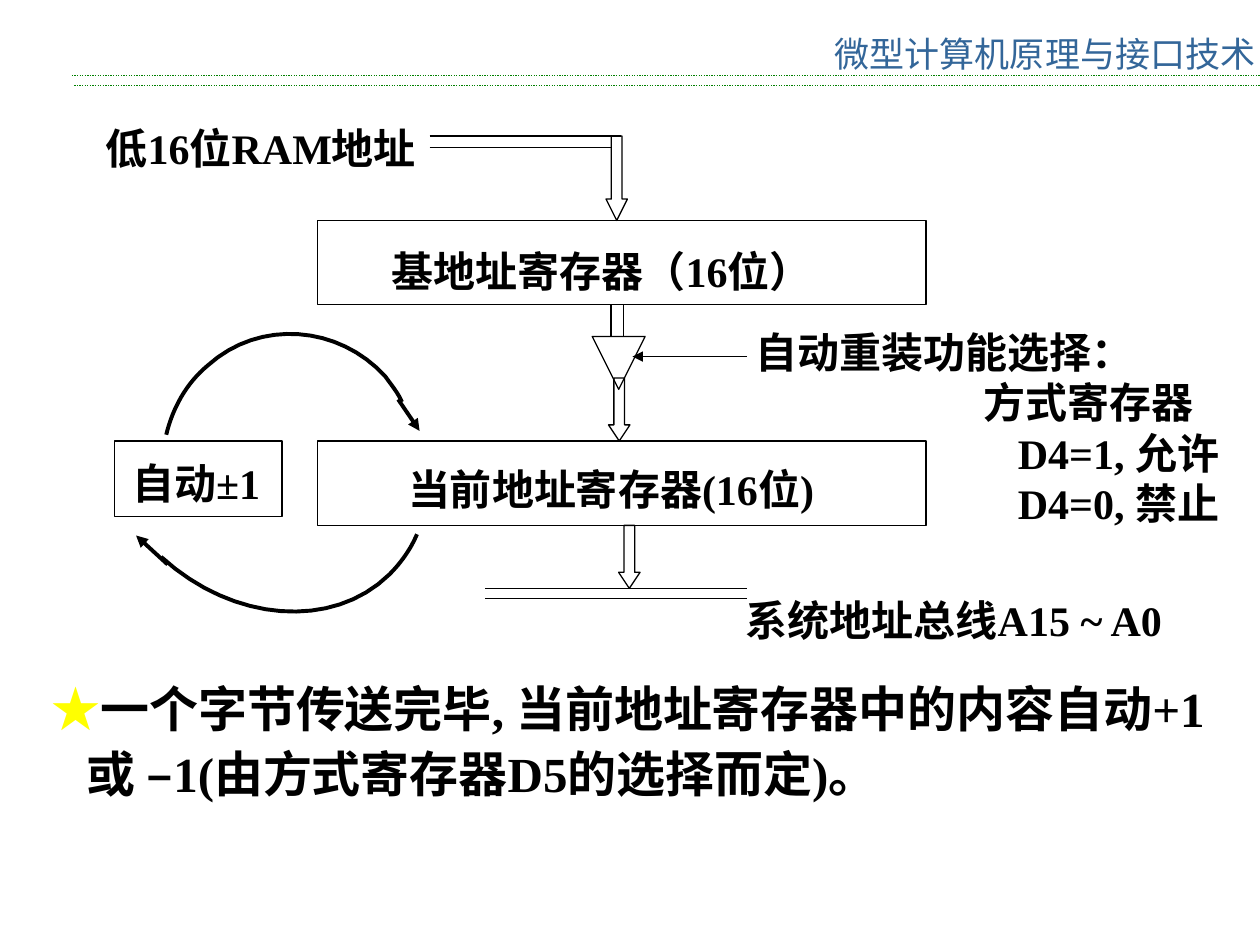
from pptx import Presentation
from pptx.dml.color import RGBColor
from pptx.enum.dml import MSO_LINE
from pptx.enum.shapes import MSO_CONNECTOR, MSO_SHAPE
from pptx.enum.text import MSO_ANCHOR, MSO_AUTO_SIZE, PP_ALIGN
from pptx.oxml.ns import qn
from pptx.util import Inches, Pt
from lxml import etree

RECTANGLE = MSO_SHAPE.RECTANGLE
DOWN_ARROW = MSO_SHAPE.DOWN_ARROW
TRIANGLE = MSO_SHAPE.ISOSCELES_TRIANGLE
STRAIGHT = MSO_CONNECTOR.STRAIGHT
DOTTED = MSO_LINE.ROUND_DOT

BLACK, GREEN, BLUE, YELLOW = "000000", "008000", "336699", "FFFF00"
SERIF, SANS, CHINESE = "Times New Roman", "Arial", "Noto Sans CJK SC"
THIN, THICK = 0.75, 2.25


def color(value):
    return RGBColor.from_string(value)


def add_run(paragraph, text, size=24, font=SERIF, fill=BLACK, bold=True):
    run = paragraph.add_run()
    run.text = text
    run.font.size = Pt(size)
    run.font.bold = bold
    run.font.name = font
    run.font.color.rgb = color(fill)
    east_asian = etree.SubElement(run._r.get_or_add_rPr(), qn("a:ea"))
    east_asian.set("typeface", CHINESE)


def bezier_points(start, curves, steps=16):
    """Sample a chain of cubic curves, each given as two controls and an end."""
    points = [start]
    for first, second, end in curves:
        for step in range(1, steps + 1):
            t = step / steps
            weights = ((1 - t) ** 3, 3 * t * (1 - t) ** 2, 3 * t * t * (1 - t), t ** 3)
            corners = (start, first, second, end)
            points.append(tuple(sum(w * corner[axis] for w, corner in zip(weights, corners))
                                for axis in (0, 1)))
        start = end
    return points


class Diagram:
    """Holds the slide and draws its elements in the common style."""

    def __init__(self, slide):
        self.slide = slide

    def outline(self, shape, width=THIN):
        shape.shadow.inherit = False
        shape.fill.background()
        shape.line.color.rgb = color(BLACK)
        shape.line.width = Pt(width)

    def header(self, text, left, top, width, height):
        title = self.slide.shapes.title
        title.left, title.top = Inches(left), Inches(top)
        title.width, title.height = Inches(width), Inches(height)
        frame = title.text_frame
        frame.auto_size = MSO_AUTO_SIZE.NONE
        frame.word_wrap = False
        frame.margin_left = frame.margin_right = 0
        frame.vertical_anchor = MSO_ANCHOR.TOP
        frame.paragraphs[0].alignment = PP_ALIGN.CENTER
        add_run(frame.paragraphs[0], text, size=20, font=CHINESE, fill=BLUE, bold=False)

    def label(self, lines, left, top, width, height, spacing=None):
        """Each line is an indent in inches and a list of (text, format) runs."""
        box = self.slide.shapes.add_textbox(Inches(left), Inches(top), Inches(width), Inches(height))
        frame = box.text_frame
        frame.word_wrap = True
        for index, (indent, runs) in enumerate(lines):
            paragraph = frame.add_paragraph() if index else frame.paragraphs[0]
            if indent:
                properties = paragraph._p.get_or_add_pPr()
                properties.set("marL", str(Inches(indent)))
                properties.set("indent", "0")
            if spacing:
                paragraph.line_spacing = spacing
            for text, text_format in runs:
                add_run(paragraph, text, **text_format)

    def shape(self, kind, left, top, width, height, rotation=0, head=None):
        shape = self.slide.shapes.add_shape(kind, Inches(left), Inches(top), Inches(width), Inches(height))
        self.outline(shape)
        shape.rotation = rotation
        if head:
            shape.adjustments[1] = head

    def line(self, x1, y1, x2, y2, width=THIN, stroke=BLACK, dash=None, arrow=False):
        connector = self.slide.shapes.add_connector(
            STRAIGHT, Inches(x1), Inches(y1), Inches(x2), Inches(y2))
        connector.line.color.rgb = color(stroke)
        connector.line.width = Pt(width)
        if dash:
            connector.line.dash_style = dash
        properties = connector._element.spPr
        if arrow:
            etree.SubElement(properties.find(qn("a:ln")), qn("a:tailEnd")).set("type", "triangle")
        etree.SubElement(properties, qn("a:effectLst"))

    def curve(self, start, curves):
        points = [(Inches(x), Inches(y)) for x, y in bezier_points(start, curves)]
        builder = self.slide.shapes.build_freeform(*points[0])
        builder.add_line_segments(points[1:], close=False)
        self.outline(builder.convert_to_shape(), THICK)


def main():
    presentation = Presentation()
    presentation.slide_width, presentation.slide_height = Inches(10), Inches(7.5)
    slide = presentation.slides.add_slide(presentation.slide_layouts[5])
    diagram = Diagram(slide)

    diagram.header("微型计算机原理与接口技术", 6.59, 0.21, 3.41, 0.38)
    for left, y in ((0.59, 0.68), (0.57, 0.6)):
        diagram.line(left, y, 10, y, stroke=GREEN, dash=DOTTED)

    # Registers and the increment box
    for left, top, width, height in (
            (2.52, 1.75, 4.83, 0.67), (2.52, 3.5, 4.83, 0.67), (0.91, 3.5, 1.33, 0.6)):
        diagram.shape(RECTANGLE, left, top, width, height)

    # Data path: input bus, reload gate, output bus
    for left, top, height, head in (
            (4.81, 1.08, 0.67, 1), (4.83, 3, 0.5, 0.75), (4.91, 4.17, 0.5, 0.75)):
        diagram.shape(DOWN_ARROW, left, top, 0.17, height, head=head)
    diagram.shape(TRIANGLE, 4.7, 2.67, 0.42, 0.42, rotation=180)
    for x1, y1, x2, y2 in (
            (3.41, 1.08, 4.93, 1.08), (3.41, 1.17, 4.85, 1.17),
            (4.85, 2.42, 4.85, 2.67), (4.95, 2.42, 4.95, 2.67),
            (3.85, 4.67, 5.93, 4.67), (3.85, 4.75, 5.93, 4.75)):
        diagram.line(x1, y1, x2, y2)
    diagram.line(5.93, 2.83, 5.02, 2.83, arrow=True)

    # Increment loop
    diagram.curve((1.32, 3.45), [
        ((1.37, 3.24), (1.48, 3.04), (1.65, 2.9)),
        ((2.06, 2.53), (2.69, 2.58), (3.06, 2.99)),
        ((3.11, 3.06), (3.16, 3.12), (3.19, 3.19))])
    diagram.curve((3.31, 4.24), [
        ((3.26, 4.36), (3.18, 4.47), (3.09, 4.56)),
        ((2.64, 5), (1.85, 4.94), (1.28, 4.42))])
    diagram.line(3.16, 3.17, 3.33, 3.42, width=THICK, arrow=True)
    diagram.line(1.33, 4.48, 1.08, 4.25, width=THICK, arrow=True)

    for text, left, top, width, height in (
            ("低16位RAM地址", 0.74, 0.92, 2.66, 0.9),
            ("基地址寄存器（16位）", 3.01, 1.9, 3.69, 0.5),
            ("当前地址寄存器(16位)", 3.14, 3.63, 3.8, 0.5),
            ("自动±1", 0.95, 3.58, 1.45, 0.5),
            ("系统地址总线A15 ~ A0", 5.82, 4.67, 3.75, 0.5)):
        diagram.label([(0, [(text, {})])], left, top, width, height)

    reload_lines = ((0, "自动重装功能选择："), (1.81, "方式寄存器"),
                    (2.08, "D4=1, 允许"), (2.08, "D4=0, 禁止"))
    diagram.label([(indent, [(text, {})]) for indent, text in reload_lines],
                  5.9, 2.54, 4.04, 2.1)

    note = {"size": 28}
    diagram.label([
        (0, [("★", {"size": 28, "font": SANS, "fill": YELLOW}),
             ("一个字节传送完毕, 当前地址寄存器中的内容自动+1", note)]),
        (0.28, [("或 –1(由方式寄存器D5的选择而定)。", note)]),
    ], 0.31, 5.29, 9.59, 1.13, spacing=1.1)

    presentation.save("out.pptx")


if __name__ == "__main__":
    main()
